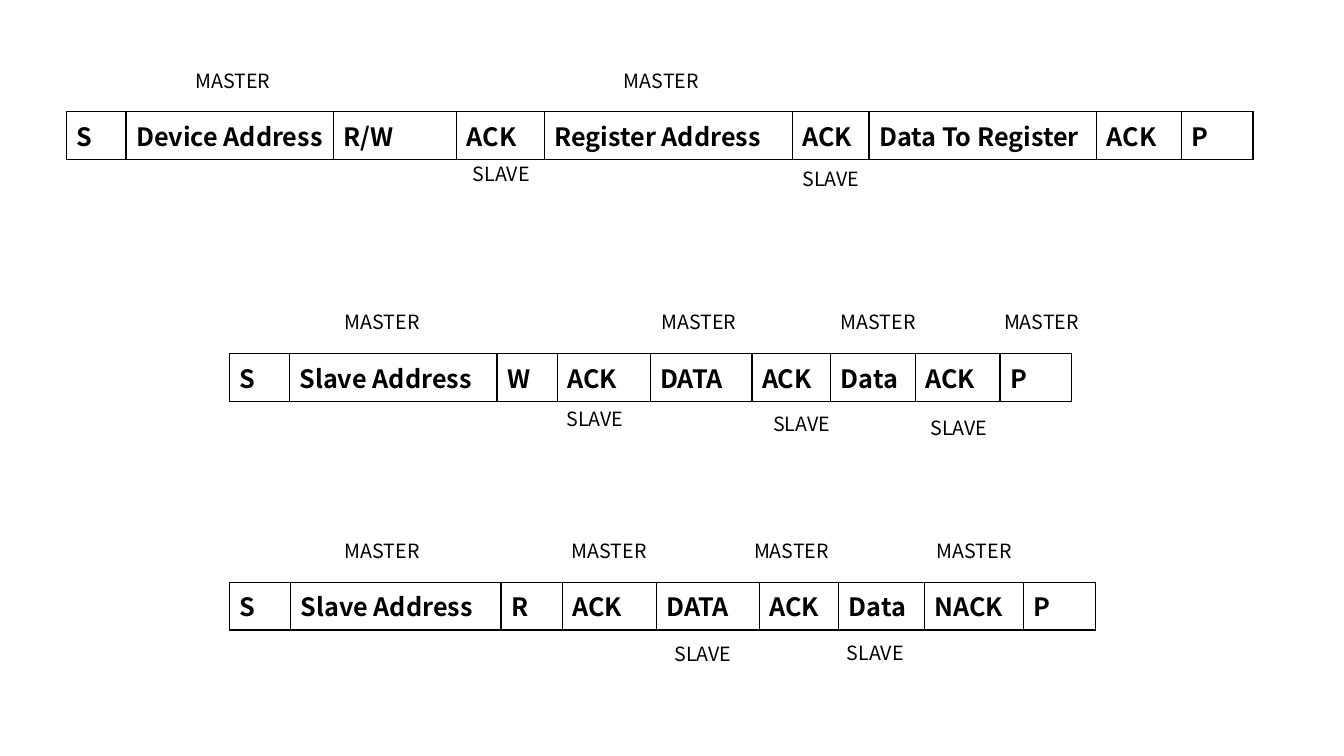
from pptx import Presentation
from pptx.dml.color import RGBColor
from pptx.enum.text import MSO_ANCHOR, MSO_AUTO_SIZE
from pptx.oxml import parse_xml
from pptx.oxml.ns import nsdecls
from pptx.util import Inches, Pt

FONT = "Noto Sans CJK KR"
BLACK = RGBColor(0, 0, 0)
WHITE = RGBColor(255, 255, 255)
ROW_HEIGHT = 0.47
LABEL_WIDTH, LABEL_HEIGHT = 2.05, 0.34
MASTER_RISE = 0.48

FRAMES = [
    {
        "left": 0.66, "top": 1.11,
        "fields": [("S", 0.59), ("Device Address", 2.06), ("R/W", 1.22),
                   ("ACK", 0.87), ("Register Address", 2.46), ("ACK", 0.76),
                   ("Data To Register", 2.26), ("ACK", 0.84), ("P", 0.71)],
        "master_lefts": [1.84, 6.09],
        "slaves": [(4.59, 0.45), (7.86, 0.5)],
    },
    {
        "left": 2.28, "top": 3.51,
        "fields": [("S", 0.59), ("Slave Address", 2.06), ("W", 0.6),
                   ("ACK", 0.92), ("DATA", 1.01), ("ACK", 0.78),
                   ("Data", 0.84), ("ACK", 0.84), ("P", 0.71)],
        "master_lefts": [3.32, 6.46, 8.24, 9.86],
        "slaves": [(5.52, 0.48), (7.57, 0.53), (9.13, 0.57)],
    },
    {
        "left": 2.28, "top": 5.78,
        "fields": [("S", 0.6), ("Slave Address", 2.09), ("R", 0.61),
                   ("ACK", 0.93), ("DATA", 1.02), ("ACK", 0.79),
                   ("Data", 0.85), ("NACK", 0.98), ("P", 0.72)],
        "master_lefts": [3.32, 5.57, 7.38, 9.19],
        "slaves": [(6.59, 0.54), (8.3, 0.53)],
    },
]


def add_text(text_frame, text, size, bold=False):
    run = text_frame.paragraphs[0].add_run()
    run.text = text
    run.font.name = FONT
    run.font.size = Pt(size)
    run.font.bold = bold
    run.font.color.rgb = BLACK


def add_borders(cell):
    properties = cell._tc.get_or_add_tcPr()
    for position, side in enumerate(("lnL", "lnR", "lnT", "lnB")):
        properties.insert(position, parse_xml(
            f'<a:{side} {nsdecls("a")} w="{Pt(1)}"><a:solidFill>'
            f'<a:srgbClr val="{BLACK}"/></a:solidFill></a:{side}>'))


def add_frame(slide, left, top, fields):
    total_width = sum(width for _, width in fields)
    table = slide.shapes.add_table(
        1, len(fields), Inches(left), Inches(top),
        Inches(total_width), Inches(ROW_HEIGHT)).table
    table.first_row = False
    table.horz_banding = False
    for column, (text, width) in enumerate(fields):
        table.columns[column].width = Inches(width)
        cell = table.cell(0, column)
        cell.fill.solid()
        cell.fill.fore_color.rgb = WHITE
        cell.vertical_anchor = MSO_ANCHOR.TOP
        add_text(cell.text_frame, text, 18, bold=True)
        add_borders(cell)


def add_label(slide, text, left, top):
    label = slide.shapes.add_textbox(
        Inches(left), Inches(top), Inches(LABEL_WIDTH), Inches(LABEL_HEIGHT))
    label.text_frame.word_wrap = True
    label.text_frame.auto_size = MSO_AUTO_SIZE.SHAPE_TO_FIT_TEXT
    add_text(label.text_frame, text, 14)


def main():
    presentation = Presentation()
    presentation.slide_width = Inches(13.33)
    presentation.slide_height = Inches(7.5)
    slide = presentation.slides.add_slide(presentation.slide_layouts[6])
    for frame in FRAMES:
        top = frame["top"]
        add_frame(slide, frame["left"], top, frame["fields"])
        for left in frame["master_lefts"]:
            add_label(slide, "MASTER", left, top - MASTER_RISE)
        for left, drop in frame["slaves"]:
            add_label(slide, "SLAVE", left, top + drop)
    presentation.save("out.pptx")


if __name__ == "__main__":
    main()
